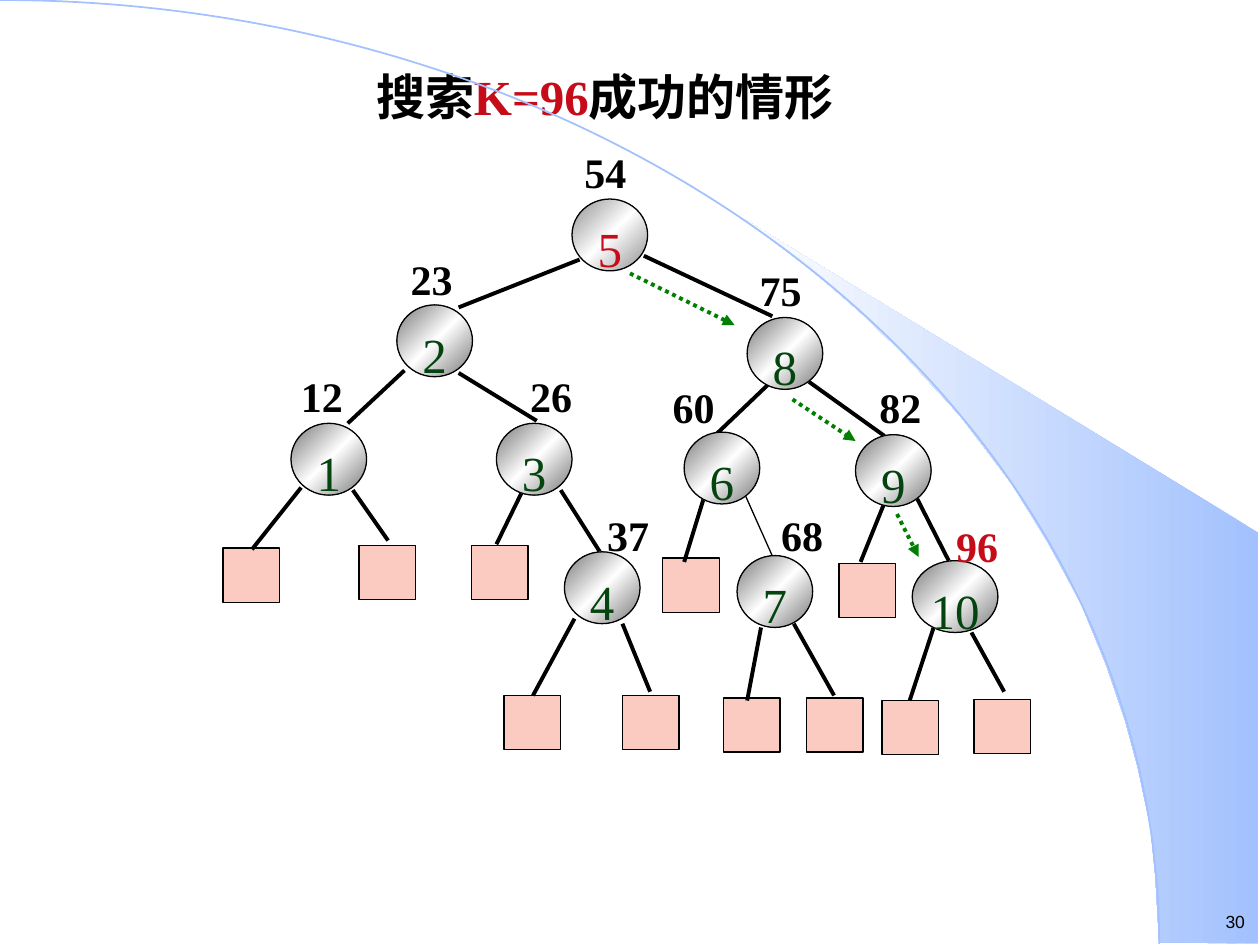
import copy

import pptx
import pptx.dml.color
import pptx.enum.dml
import pptx.enum.shapes
import pptx.enum.text
import pptx.oxml
import pptx.oxml.ns
import pptx.util

Inches = pptx.util.Inches
Pt = pptx.util.Pt
SHAPES = pptx.enum.shapes.MSO_SHAPE
ALIGN = pptx.enum.text.PP_ALIGN
ANCHOR = pptx.enum.text.MSO_ANCHOR
qn = pptx.oxml.ns.qn

SERIF = "Times New Roman"
BLACK, RED, GREEN, NODE_GREEN = "000000", "C60C19", "008000", "04440F"
SKY, PINK = "A2C1FE", "FBCBC1"

# Positions in the tree are inches from the corner of its box.
# key, number, node left, top, width, label left, top
NODES = [
    ("54", "5", 3.54, 0.58, 0.6, 3.54, 0.07),
    ("23", "2", 2.15, 1.42, 0.6, 2.16, 0.92),
    ("75", "8", 4.93, 1.52, 0.6, 4.93, 1.01),
    ("12", "1", 1.31, 2.36, 0.6, 1.29, 1.85),
    ("26", "3", 2.94, 2.36, 0.6, 3.11, 1.85),
    ("60", "6", 4.43, 2.43, 0.6, 4.24, 1.94),
    ("82", "9", 5.79, 2.45, 0.6, 5.88, 1.94),
    ("37", "4", 3.48, 3.38, 0.6, 3.72, 2.95),
    ("68", "7", 4.85, 3.41, 0.6, 5.10, 2.95),
    ("96", "10", 6.24, 3.45, 0.68, 6.49, 3.04),
]
LEAVES = [
    (0.77, 3.35), (1.85, 3.33), (2.74, 3.33), (4.26, 3.43), (5.66, 3.47),
    (3.00, 4.52), (3.94, 4.52), (4.74, 4.54), (5.40, 4.54), (6.00, 4.56),
    (6.73, 4.55),
]
EDGES = [
    (3.60, 1.06, 2.64, 1.44), (4.11, 1.03, 5.13, 1.51),
    (2.21, 1.94, 1.76, 2.36), (2.64, 1.96, 3.26, 2.34),
    (5.12, 2.03, 4.67, 2.46), (5.42, 2.03, 6.02, 2.46),
    (1.39, 2.87, 1.00, 3.36), (1.80, 2.89, 2.08, 3.29),
    (3.15, 2.89, 2.94, 3.32), (3.45, 2.89, 3.78, 3.41),
    (4.59, 2.94, 4.43, 3.46), (6.02, 2.99, 5.83, 3.46),
    (6.28, 2.96, 6.56, 3.51), (3.56, 3.91, 3.23, 4.52),
    (3.94, 3.95, 4.16, 4.49), (5.04, 3.98, 4.93, 4.56),
    (5.30, 3.95, 5.62, 4.52), (6.41, 3.98, 6.22, 4.56),
    (6.71, 4.02, 6.97, 4.49),
]
THIN_EDGE = (4.91, 2.92, 5.16, 3.48)
SEARCH_STEPS = [
    (4.00, 1.17, 4.83, 1.58), (5.29, 2.17, 5.79, 2.50), (6.12, 3.08, 6.29, 3.42),
]
SWOOSH = [
    (9.2, 7.48), (9.99, 7.49), (9.99, 4.23), (5.89, 1.73), (6.24, 1.99),
    (6.53, 2.22), (6.85, 2.5), (7.16, 2.8), (7.62, 3.3), (8.03, 3.84),
    (8.32, 4.31), (8.58, 4.79), (8.78, 5.28), (8.93, 5.72), (9.03, 6.09),
    (9.13, 6.56), (9.17, 6.96),
]


def rgb(value):
    return pptx.dml.color.RGBColor.from_string(value)


def set_line(shape, color, width):
    shape.line.color.rgb = rgb(color)
    shape.line.width = Pt(width)


def set_gradient(shape, colors, angle):
    """Fill with evenly spaced colours along the angle."""
    shape.fill.gradient()
    shape.fill.gradient_angle = angle
    stop_list = shape._element.spPr.find(qn("a:gradFill")).find(qn("a:gsLst"))
    while len(stop_list) < len(colors):
        stop_list.append(copy.deepcopy(stop_list[-1]))
    for index, (stop, color) in enumerate(zip(shape.fill.gradient_stops, colors)):
        stop.color.rgb = rgb(color)
        stop.position = index / (len(colors) - 1)


def format_font(font, size, color, name=SERIF, bold=False):
    font.size, font.name, font.bold = Pt(size), name, bold
    font.color.rgb = rgb(color)


def set_margins(text_frame, side, top, bottom):
    text_frame.margin_left = text_frame.margin_right = Inches(side)
    text_frame.margin_top, text_frame.margin_bottom = Inches(top), Inches(bottom)


def add_preset(slide, kind, left, top, width, height):
    shape = slide.shapes.add_shape(
        kind, Inches(left), Inches(top), Inches(width), Inches(height))
    shape.shadow.inherit = False
    return shape


def add_text(slide, left, top, width, height, text):
    box = slide.shapes.add_textbox(
        Inches(left), Inches(top), Inches(width), Inches(height))
    box.text_frame.word_wrap = True
    box.text_frame.text = text
    return box.text_frame, box.text_frame.paragraphs[0]


def add_line(slide, left, top, ends, color=BLACK, width=2.25):
    x1, y1, x2, y2 = ends
    line = slide.shapes.add_connector(
        pptx.enum.shapes.MSO_CONNECTOR.STRAIGHT,
        Inches(left + x1), Inches(top + y1), Inches(left + x2), Inches(top + y2))
    set_line(line, color, width)
    pptx.oxml.ns  # namespace helpers are used for the empty effect list below
    line._element.spPr.append(pptx.oxml.parse_xml(
        f'<a:effectLst {pptx.oxml.ns.nsdecls("a")}/>'))
    return line


def add_search_step(slide, left, top, ends):
    """Dotted arrow along the search route."""
    arrow = add_line(slide, left, top, ends, GREEN)
    arrow.line.dash_style = pptx.enum.dml.MSO_LINE.ROUND_DOT
    arrow._element.spPr.find(qn("a:ln")).append(pptx.oxml.parse_xml(
        f'<a:tailEnd {pptx.oxml.ns.nsdecls("a")} type="triangle"/>'))


def add_backdrop(slide, left, top, width, height):
    points = [(Inches(left + x), Inches(top + y)) for x, y in SWOOSH]
    builder = slide.shapes.build_freeform(*points[0])
    builder.add_line_segments(points[1:], close=True)
    swoosh = builder.convert_to_shape()
    swoosh.shadow.inherit = False
    set_gradient(swoosh, [SKY, "FEFEFE"], 180)
    swoosh.line.fill.background()

    radius = 0.92 * width
    arc = add_preset(slide, SHAPES.ARC, left - radius, top, 2 * radius, 2 * height)
    arc.fill.background()
    set_line(arc, SKY, 1)


def add_title(slide, left, top, width, height):
    title = slide.shapes.title
    title.left, title.top = Inches(left), Inches(top)
    title.width, title.height = Inches(width), Inches(height)
    title.text_frame.vertical_anchor = ANCHOR.MIDDLE
    paragraph = title.text_frame.paragraphs[0]
    paragraph.alignment = ALIGN.CENTER
    for text, color in (("搜索", BLACK), ("K=96", RED), ("成功的情形", BLACK)):
        run = paragraph.add_run()
        run.text = text
        format_font(run.font, 28, color, bold=True)


def add_node(slide, left, top, width, number, color):
    node = add_preset(slide, SHAPES.OVAL, left, top, width, 0.57)
    edge = "8F8F8F" if color == RED else "757575"
    set_gradient(node, [edge, "FFFFFF", edge], 315)
    set_line(node, BLACK, 0.75)
    frame = node.text_frame
    set_margins(frame, 0.02, 0.07, 0.01)
    frame.vertical_anchor = ANCHOR.TOP
    frame.text = number
    frame.paragraphs[0].alignment = ALIGN.CENTER
    format_font(frame.paragraphs[0].runs[0].font, 28, color)


def add_tree(slide, left, top):
    for x, y in LEAVES:
        leaf = add_preset(slide, SHAPES.RECTANGLE, left + x, top + y, 0.45, 0.43)
        leaf.fill.solid()
        leaf.fill.fore_color.rgb = rgb(PINK)
        set_line(leaf, BLACK, 0.75)
    for ends in EDGES:
        add_line(slide, left, top, ends)
    add_line(slide, left, top, THIN_EDGE, width=0.75)
    for key, number, x, y, width, label_x, label_y in NODES:
        add_node(slide, left + x, top + y, width, number,
                 RED if number == "5" else NODE_GREEN)
        frame, paragraph = add_text(
            slide, left + label_x, top + label_y, 0.61, 0.5, key)
        set_margins(frame, 0.1, 0.09, 0.05)
        format_font(paragraph.runs[0].font, 24, RED if key == "96" else BLACK,
                    bold=True)
    for ends in SEARCH_STEPS:
        add_search_step(slide, left, top, ends)


def add_page_number(slide, left, top, width, height):
    frame, paragraph = add_text(slide, left, top, width, height, "30")
    set_margins(frame, 0.02, 0.05, 0.05)
    paragraph.alignment = ALIGN.RIGHT
    format_font(paragraph.runs[0].font, 10, BLACK, "Arial")


def main():
    presentation = pptx.Presentation()
    presentation.slide_width, presentation.slide_height = Inches(10), Inches(7.5)
    slide = presentation.slides.add_slide(presentation.slide_layouts[5])
    add_backdrop(slide, 0, 0, 10, 7.49)
    add_page_number(slide, 9.41, 7.18, 0.49, 0.27)
    add_title(slide, 1.14, 0.42, 7.32, 0.69)
    add_tree(slide, 1, 1)
    presentation.save("out.pptx")


if __name__ == "__main__":
    main()
